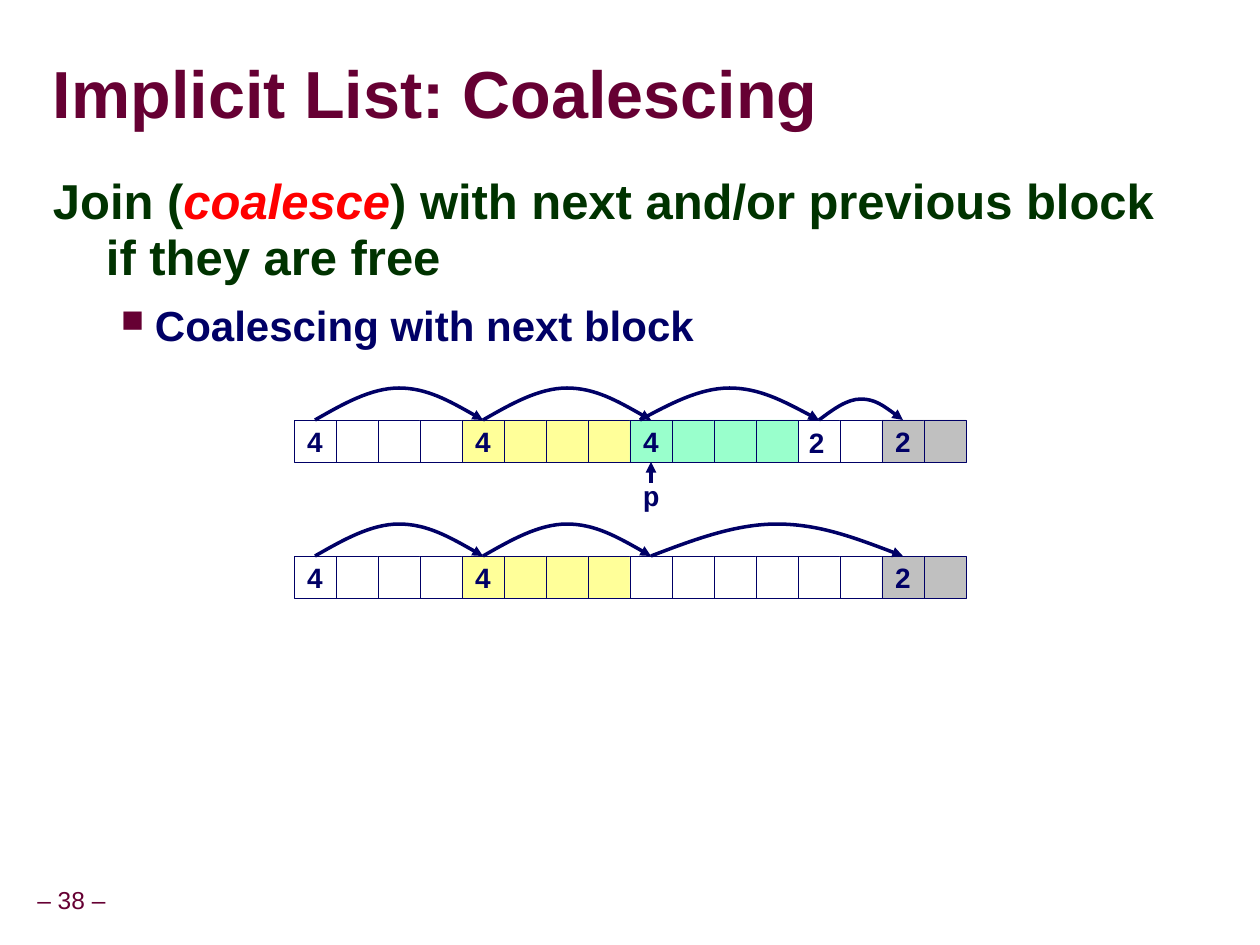
from lxml import etree
from pptx import Presentation
from pptx.dml.color import RGBColor
from pptx.enum.shapes import MSO_CONNECTOR as Connector, MSO_SHAPE as Shape
from pptx.enum.text import MSO_ANCHOR as Anchor, PP_ALIGN as Align
from pptx.oxml.ns import qn
from pptx.util import Pt

PX = 7257.6
CELL, LEFT = 42, 294
NAVY, MAROON, GREEN, RED = "000066", "660033", "003300", "FF0000"
WHITE, YELLOW, MINT, GREY = "FFFFFF", "FFFF99", "99FFCC", "C0C0C0"
TITLE = "Implicit List: Coalescing"
LEAD = [("Join (", GREEN, False), ("coalesce", RED, True),
        (") with next and/or previous block if they are free", GREEN, False)]
BULLET = [("Coalescing with next block", NAVY, False)]
ROWS = [
    dict(top=420,
         blocks=[("4", 4, WHITE), ("4", 4, YELLOW), ("4", 4, MINT), ("", 2, WHITE), ("2", 2, GREY)],
         arcs=[(315, 483, 32), (483, 651, 32), (640, 819, 32), (819, 903, 21)]),
    dict(top=556,
         blocks=[("4", 4, WHITE), ("4", 4, YELLOW), ("", 6, WHITE), ("2", 2, GREY)],
         arcs=[(315, 483, 32), (483, 651, 32), (651, 903, 32)]),
]

presentation = Presentation()
presentation.slide_width, presentation.slide_height = round(1260 * PX), round(945 * PX)
slide = presentation.slides.add_slide(presentation.slide_layouts[6])


def emu(*lengths):
    return [round(length * PX) for length in lengths]


def color(value):
    return RGBColor.from_string(value)


def add_runs(paragraph, runs, size, font="Arial", bold=True):
    for text, fill, italic in runs:
        run = paragraph.add_run()
        run.text = text
        run.font.size, run.font.name = Pt(size), font
        run.font.bold, run.font.italic = bold, italic
        run.font.color.rgb = color(fill)


def set_frame(shape, insets=(13, 6), anchor=Anchor.TOP, wrap=False):
    frame = shape.text_frame
    frame.margin_left = frame.margin_right = emu(insets[0])[0]
    frame.margin_top = frame.margin_bottom = emu(insets[1])[0]
    frame.vertical_anchor, frame.word_wrap = anchor, wrap
    return frame


def add_text(text, box, size, fill=NAVY, font="Arial", bold=True, align=Align.LEFT,
             spacing=1.0, **frame_format):
    frame = set_frame(slide.shapes.add_textbox(*emu(*box)), **frame_format)
    paragraph = frame.paragraphs[0]
    paragraph.alignment, paragraph.line_spacing = align, spacing
    add_runs(paragraph, [(text, fill, False)], size, font, bold)
    return paragraph


def set_indent(paragraph, margin, indent):
    properties = paragraph._p.get_or_add_pPr()
    properties.set("marL", str(emu(margin)[0]))
    properties.set("indent", str(emu(indent)[0]))
    return properties


def add_bullet(properties, mark, fill, percent):
    bullet_color = etree.SubElement(properties, qn("a:buClr"))
    etree.SubElement(bullet_color, qn("a:srgbClr"), val=fill)
    etree.SubElement(properties, qn("a:buSzPct"), val=str(percent * 1000))
    etree.SubElement(properties, qn("a:buChar"), char=mark)


def add_text_shadow(run):
    effects = etree.Element(qn("a:effectLst"))
    shadow = etree.SubElement(effects, qn("a:outerShdw"), dist="38100", dir="2700000", algn="tl")
    etree.SubElement(shadow, qn("a:srgbClr"), val=GREY)
    run.font._element.find(qn("a:solidFill")).addnext(effects)


def add_arrowhead(shape):
    shape.line.color.rgb, shape.line.width = color(NAVY), Pt(2)
    etree.SubElement(shape.line._get_or_add_ln(), qn("a:tailEnd"), type="triangle")


def add_cell(x, y, fill, label):
    cell = slide.shapes.add_shape(Shape.RECTANGLE, *emu(x, y, CELL, CELL))
    cell.shadow.inherit = False
    cell.fill.solid()
    cell.fill.fore_color.rgb = color(fill)
    cell.line.color.rgb, cell.line.width = color(NAVY), Pt(0.25)
    if label:
        paragraph = set_frame(cell, anchor=Anchor.MIDDLE).paragraphs[0]
        paragraph.alignment = Align.CENTER
        add_runs(paragraph, [(label, NAVY, False)], 16)
    return cell


def add_arc(start, end, base, height):
    third, middle, top = (end - start) / 6, (start + end) / 2, base - height
    points = [(start + third, base - height / 2), (middle - third, top), (middle, top),
              (middle + third, top), (end - third, base - height / 2), (end, base)]
    builder = slide.shapes.build_freeform(*emu(start, base))
    builder.add_line_segments([emu(*point) for point in points], close=False)
    arc = builder.convert_to_shape()
    segments = list(arc._element.iter(qn("a:lnTo")))
    for first in (0, 3):
        curve = etree.Element(qn("a:cubicBezTo"))
        segments[first].addprevious(curve)
        for segment in segments[first:first + 3]:
            curve.append(segment[0])
            segment.getparent().remove(segment)
    arc.shadow.inherit = False
    arc.fill.background()
    add_arrowhead(arc)


def add_row(top, blocks, arcs):
    cells = []
    for label, count, fill in blocks:
        for position in range(count):
            x = LEFT + len(cells) * CELL
            cells.append(add_cell(x, top, fill, "" if position else label))
    for start, end, height in arcs:
        add_arc(start, end, top, height)
    return cells


add_text("– 38 –", (-11, 882, 165, 39), 14, MAROON, bold=False, align=Align.CENTER,
         spacing=0.9, insets=(6, 6), anchor=Anchor.MIDDLE)
title = add_text(TITLE, (53, 58, 932, 79), 38, MAROON, spacing=0.87, insets=(0, 0),
                 anchor=Anchor.MIDDLE, wrap=True)
add_text_shadow(title.runs[0])

body = set_frame(slide.shapes.add_textbox(*emu(40, 169, 1145, 735)), wrap=True)
lead, bullet = body.paragraphs[0], body.add_paragraph()
set_indent(lead, 53, -53)
lead.line_spacing = 0.95
add_runs(lead, LEAD, 28)
add_bullet(set_indent(bullet, 102, -34), "■", MAROON, 75)
bullet.space_before = Pt(7.5)
add_runs(bullet, BULLET, 24)

top_cells, merged_cells = [add_row(**row) for row in ROWS]
add_text("2", (796, 420, 40, 47), 16)
add_text("p", (630, 473, 42, 47), 16, font="Courier New")
pointer = slide.shapes.add_connector(Connector.STRAIGHT, *emu(651, 483, 651, 462))
pointer.end_connect(top_cells[8], 2)
etree.SubElement(pointer._element.spPr, qn("a:effectLst"))
add_arrowhead(pointer)

presentation.save("out.pptx")
